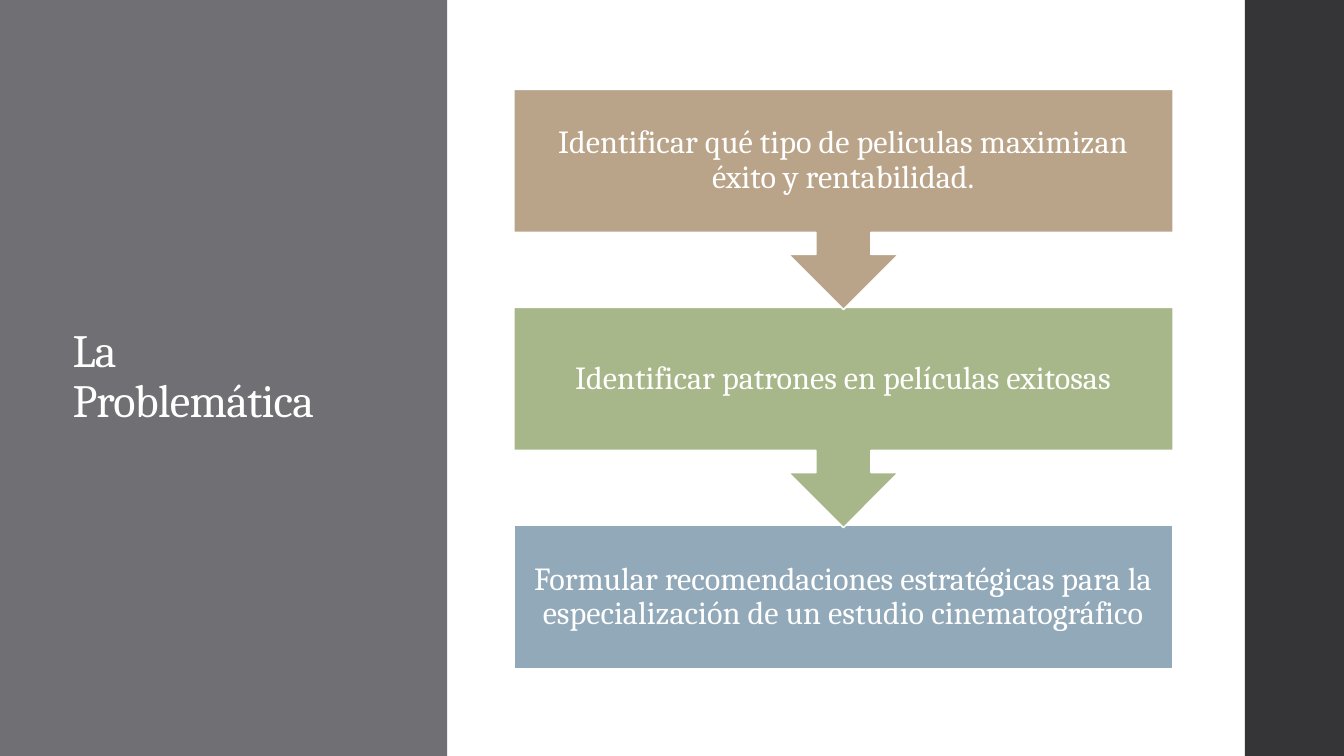
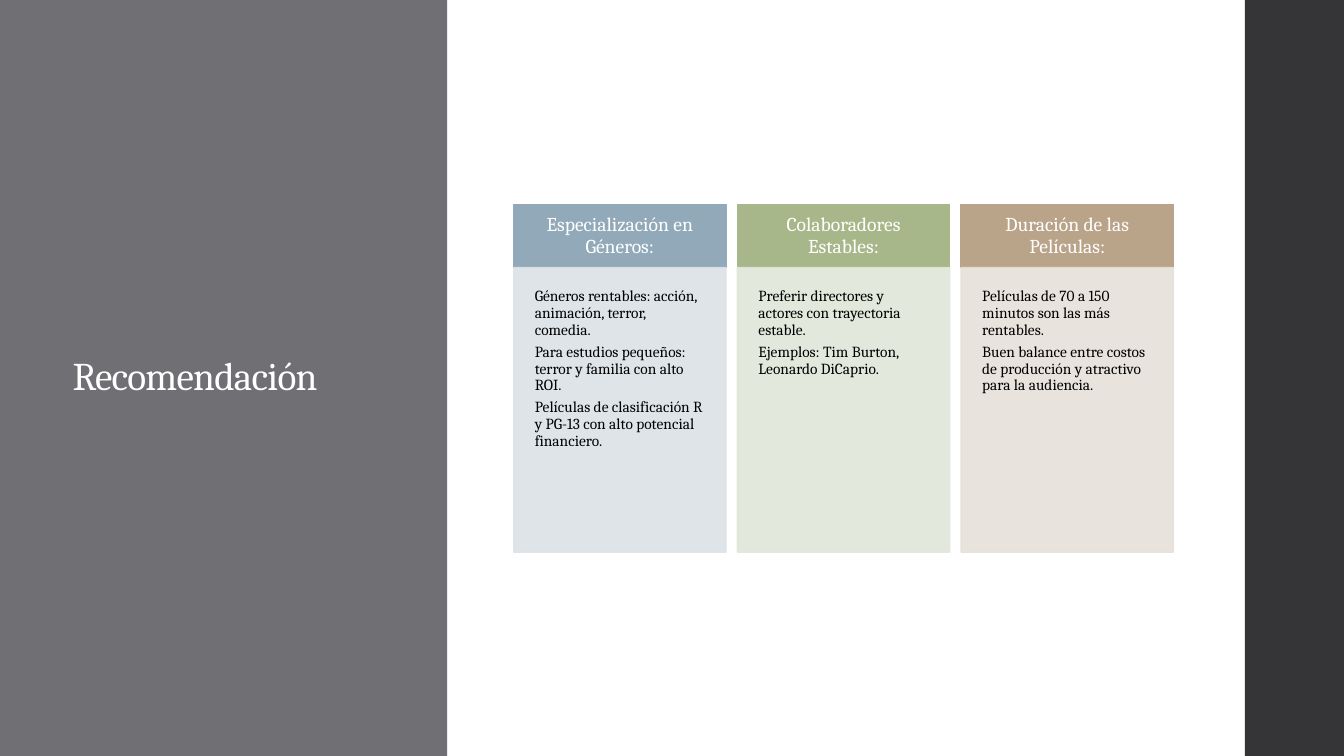
"""Build two slides: a three-step problem flow and a three-column recommendation."""
from lxml import etree
from pptx import Presentation
from pptx.dml.color import RGBColor
from pptx.enum import shapes, text
from pptx.oxml import ns
from pptx.util import Pt

FONT = "Cambria"
WHITE = RGBColor(0xFF, 0xFF, 0xFF)
BLACK = RGBColor(0x00, 0x00, 0x00)
PANEL = RGBColor(0x6F, 0x6F, 0x74)
BAND = RGBColor(0x35, 0x35, 0x37)
BLUE = RGBColor(0x92, 0xA9, 0xB9)
GREEN = RGBColor(0xA7, 0xB7, 0x89)
TAN = RGBColor(0xB9, 0xA4, 0x89)
PALE_BLUE = RGBColor(0xDC, 0xE2, 0xE6)
PALE_GREEN = RGBColor(0xE1, 0xE6, 0xDA)
PALE_TAN = RGBColor(0xE6, 0xE0, 0xDA)

SLIDE_WIDTH, SLIDE_HEIGHT = 960, 540
PANEL_WIDTH = 319.5
BAND_LEFT = 889.2
LINE_WIDTH = 1.1

FLOW_LEFT, FLOW_TOP, FLOW_WIDTH = 367, 63.8, 471
STEP_PITCH, STEP_HEIGHT, CALLOUT_HEIGHT = 155.8, 102.2, 157.3

COLUMN_LEFT, COLUMN_TOP, COLUMN_WIDTH, COLUMN_PITCH = 367, 146.2, 151.5, 159.8
HEADER_HEIGHT, BODY_HEIGHT = 45, 203.2

STEPS = [
    ("Identificar qué tipo de peliculas maximizan éxito y rentabilidad.", TAN),
    ("Identificar patrones en películas exitosas", GREEN),
    ("Formular recomendaciones estratégicas para la especialización "
     "de un estudio cinematográfico", BLUE),
]
COLUMNS = [
    ("Especialización en Géneros:", BLUE, PALE_BLUE, [
        "Géneros rentables: acción, animación, terror, comedia.",
        "Para estudios pequeños: terror y familia con alto ROI.",
        "Películas de clasificación R y PG-13 con alto potencial financiero.",
    ]),
    ("Colaboradores Estables:", GREEN, PALE_GREEN, [
        "Preferir directores y actores con trayectoria estable.",
        "Ejemplos: Tim Burton, Leonardo DiCaprio.",
    ]),
    ("Duración de las Películas:", TAN, PALE_TAN, [
        "Películas de 70 a 150 minutos son las más rentables.",
        "Buen balance entre costos de producción y atractivo para la audiencia.",
    ]),
]


def add_block(slide, kind, left, top, width, height, fill, line=None):
    """Add a flat preset shape with an optional outline."""
    shape = slide.shapes.add_shape(kind, Pt(left), Pt(top), Pt(width), Pt(height))
    shape.shadow.inherit = False
    shape.fill.solid()
    shape.fill.fore_color.rgb = fill
    if line is None:
        shape.line.fill.background()
    else:
        shape.line.color.rgb = line
        shape.line.width = Pt(LINE_WIDTH)
    return shape


def set_opacity(shape, percent):
    """Make the fill and outline of a shape partly transparent."""
    for color in shape._element.spPr.iter(ns.qn("a:srgbClr")):
        etree.SubElement(color, ns.qn("a:alpha"), val=str(percent * 1000))


def write(shape, paragraphs, size, color=WHITE, inset=None, centred=True,
          anchor=text.MSO_ANCHOR.MIDDLE, tracking=None):
    """Fill a shape with one run for each paragraph."""
    frame = shape.text_frame
    frame.word_wrap = True
    frame.vertical_anchor = anchor
    if inset is not None:
        frame.margin_left = frame.margin_right = Pt(inset)
        frame.margin_top = frame.margin_bottom = Pt(inset)
    for index, content in enumerate(paragraphs):
        paragraph = frame.add_paragraph() if index else frame.paragraphs[0]
        paragraph.alignment = text.PP_ALIGN.CENTER if centred else text.PP_ALIGN.LEFT
        paragraph.line_spacing = 0.9
        if index:
            paragraph.space_before = Pt(4)
        run = paragraph.add_run()
        run.text = content
        run.font.name = FONT
        run.font.size = Pt(size)
        run.font.color.rgb = color
        if tracking is not None:
            run._r.get_or_add_rPr().set("spc", str(int(tracking * 100)))


def add_framed_slide(presentation, title, title_size):
    """Add a slide with the title panel and the right band."""
    slide = presentation.slides.add_slide(presentation.slide_layouts[6])
    rectangle = shapes.MSO_SHAPE.RECTANGLE
    add_block(slide, rectangle, 0, 0, PANEL_WIDTH, SLIDE_HEIGHT, PANEL)
    add_block(slide, rectangle, BAND_LEFT, 0, SLIDE_WIDTH - BAND_LEFT, SLIDE_HEIGHT, BAND)
    box = slide.shapes.add_textbox(Pt(44.7), Pt(65.5), Pt(214), Pt(408))
    write(box, [title], title_size, centred=False, tracking=-0.5)
    return slide


def add_flow(slide, steps):
    """Stack the steps from last to first so each arrow tip overlaps the next."""
    last = len(steps) - 1
    for index, (content, color) in reversed(list(enumerate(steps))):
        if index == last:
            kind, height = shapes.MSO_SHAPE.RECTANGLE, STEP_HEIGHT
        else:
            kind, height = shapes.MSO_SHAPE.DOWN_ARROW_CALLOUT, CALLOUT_HEIGHT
        top = FLOW_TOP + index * STEP_PITCH
        step = add_block(slide, kind, FLOW_LEFT, top, FLOW_WIDTH, height, color, WHITE)
        write(step, [content], 23, inset=13)


def add_columns(slide, columns):
    """Place headed columns side by side."""
    rectangle = shapes.MSO_SHAPE.RECTANGLE
    for index, (heading, color, pale, points) in enumerate(columns):
        left = COLUMN_LEFT + index * COLUMN_PITCH
        header = add_block(slide, rectangle, left, COLUMN_TOP, COLUMN_WIDTH,
                           HEADER_HEIGHT, color, color)
        write(header, [heading], 14, inset=12)
        body = add_block(slide, rectangle, left, COLUMN_TOP + HEADER_HEIGHT,
                         COLUMN_WIDTH, BODY_HEIGHT, pale, pale)
        set_opacity(body, 90)
        write(body, points, 11, BLACK, inset=15, centred=False,
              anchor=text.MSO_ANCHOR.TOP)


def main():
    """Build and save the presentation."""
    presentation = Presentation()
    presentation.slide_width = Pt(SLIDE_WIDTH)
    presentation.slide_height = Pt(SLIDE_HEIGHT)
    add_flow(add_framed_slide(presentation, "La Problemática", 33), STEPS)
    add_columns(add_framed_slide(presentation, "Recomendación", 28), COLUMNS)
    presentation.save("out.pptx")


if __name__ == "__main__":
    main()
